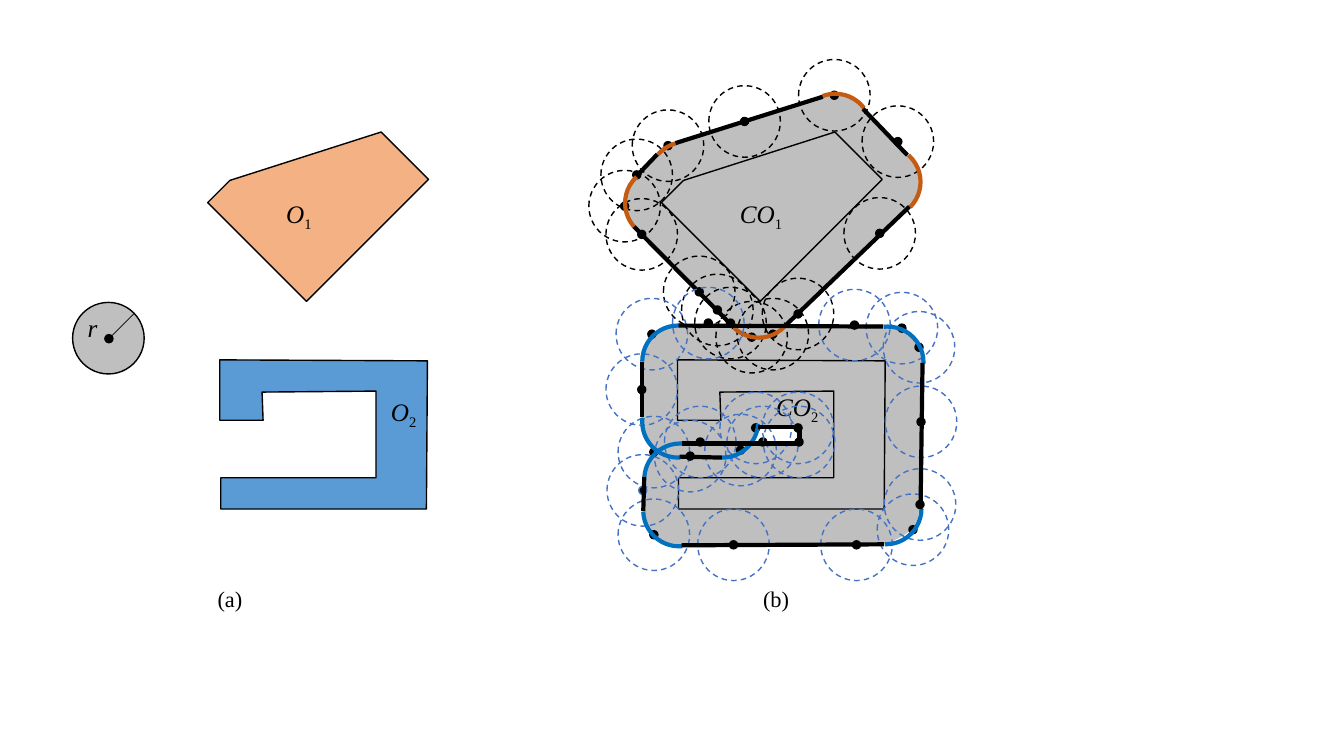
from lxml import etree
from pptx import Presentation
from pptx.dml.color import RGBColor
from pptx.enum.dml import MSO_LINE
from pptx.enum.shapes import MSO_CONNECTOR, MSO_SHAPE
from pptx.enum.text import MSO_AUTO_SIZE
from pptx.oxml.ns import qn
from pptx.util import Inches, Pt

BLACK = RGBColor(0x00, 0x00, 0x00)
WHITE = RGBColor(0xFF, 0xFF, 0xFF)
GRAY = RGBColor(0xBF, 0xBF, 0xBF)
PEACH = RGBColor(0xF4, 0xB1, 0x83)
SKY = RGBColor(0x5B, 0x9B, 0xD5)
RUST = RGBColor(0xC5, 0x5A, 0x11)
BLUE = RGBColor(0x44, 0x72, 0xC4)
DEEP = RGBColor(0x00, 0x70, 0xC0)
OVAL, ARC, LINE = MSO_SHAPE.OVAL, MSO_SHAPE.ARC, MSO_CONNECTOR.STRAIGHT
DASH, FIT = MSO_LINE.DASH, MSO_AUTO_SIZE.SHAPE_TO_FIT_TEXT
RING, DOT = 0.71, 0.08
GAP = (RING - DOT) / 2
STEPS = 6

prs = Presentation()
prs.slide_width, prs.slide_height = Inches(13.33), Inches(7.5)
shapes = prs.slides.add_slide(prs.slide_layouts[6]).shapes


def paint(shape, fill=None, edge=None, width=1, dash=None):
    shape.shadow.inherit = False
    if fill is None:
        shape.fill.background()
    else:
        shape.fill.solid()
        shape.fill.fore_color.rgb = fill
    if edge is None:
        shape.line.fill.background()
    else:
        shape.line.color.rgb = edge
        shape.line.width = Pt(width)
        if dash:
            shape.line.dash_style = dash


def trace(path, close=True):
    """Build an outline; pairs are corners, sextets are cubic curves."""
    points = [path[0]]
    for part in path[1:]:
        if len(part) == 2:
            points.append(part)
            continue
        x0, y0 = points[-1]
        x1, y1, x2, y2, x3, y3 = part
        for step in range(1, STEPS + 1):
            t = step / STEPS
            a, b, c, d = (1 - t) ** 3, 3 * t * (1 - t) ** 2, 3 * t * t * (1 - t), t ** 3
            points.append((a * x0 + b * x1 + c * x2 + d * x3,
                           a * y0 + b * y1 + c * y2 + d * y3))
    spots = [(Inches(x), Inches(y)) for x, y in points]
    pen = shapes.build_freeform(*spots[0])
    pen.add_line_segments(spots[1:], close=close)
    return pen.convert_to_shape()


# Grown obstacles
low = [
    (6.38, 4.72), (6.37, 4.8, 6.36, 4.96, 6.38, 5.06), (6.4, 5.16, 6.44, 5.26, 6.5, 5.32),
    (6.56, 5.37, 6.42, 5.38, 6.76, 5.4), (8.52, 5.4), (8.86, 5.4, 8.69, 5.42, 8.78, 5.4),
    (8.86, 5.37, 8.99, 5.31, 9.05, 5.24), (9.11, 5.18, 9.11, 5.11, 9.12, 5.02),
    (9.14, 4.93, 9.13, 4.91, 9.13, 4.71), (9.14, 4.52, 9.14, 4.03, 9.14, 3.84),
    (9.15, 3.65, 9.17, 3.66, 9.15, 3.57), (9.14, 3.49, 9.09, 3.38, 9.03, 3.33),
    (8.97, 3.27, 8.87, 3.24, 8.78, 3.22), (8.68, 3.21, 8.44, 3.23, 8.44, 3.23),
    (6.99, 3.23), (6.71, 3.23, 6.82, 3.2, 6.74, 3.21), (6.65, 3.23, 6.53, 3.26, 6.47, 3.33),
    (6.41, 3.39, 6.39, 3.46, 6.37, 3.59), (6.35, 3.72, 6.35, 3.99, 6.36, 4.12),
    (6.37, 4.26, 6.41, 4.35, 6.44, 4.41), (6.47, 4.47, 6.53, 4.45, 6.53, 4.48),
    (6.53, 4.51, 6.47, 4.54, 6.45, 4.58), (6.43, 4.62, 6.39, 4.64, 6.38, 4.72)]
high = [
    (8.14, 0.96), (7.87, 1.03, 6.98, 1.31, 6.72, 1.41), (6.45, 1.5, 6.61, 1.46, 6.54, 1.52),
    (6.47, 1.58, 6.36, 1.67, 6.31, 1.76), (6.25, 1.84, 6.19, 1.95, 6.2, 2.05),
    (6.22, 2.15, 6.2, 2.14, 6.38, 2.34), (6.56, 2.54, 7.08, 3.08, 7.28, 3.24),
    (7.47, 3.41, 7.47, 3.34, 7.55, 3.34), (7.64, 3.33, 7.54, 3.44, 7.79, 3.22),
    (8.03, 3.01, 8.87, 2.21, 9.01, 2.06), (9.15, 1.91, 9.11, 1.85, 9.11, 1.77),
    (9.11, 1.68, 9.09, 1.65, 9, 1.53), (8.91, 1.41, 8.67, 1.17, 8.56, 1.07),
    (8.46, 0.98, 8.43, 0.98, 8.37, 0.96), (8.3, 0.94, 8.42, 0.88, 8.14, 0.96)]
hole = [(7.45, 4.39), (7.51, 4.24), (7.93, 4.23), (7.93, 4.4)]
for path, fill in ((low, GRAY), (hole, WHITE), (high, GRAY)):
    paint(trace(path), fill)

# Obstacles, at left filled and at right in outline
kite = [(2.28, 1.79), (3.78, 1.31), (4.25, 1.78), (3.04, 2.99), (2.06, 2.01)]
hook = [(2.18, 3.57), (2.18, 4.17), (2.61, 4.17), (2.6, 3.89), (3.73, 3.88), (3.73, 4.74),
        (2.19, 4.74), (2.19, 5.05), (4.23, 5.05), (4.24, 3.58)]
for path, fill, shift in ((kite, PEACH, 4.5), (hook, SKY, 4.54)):
    paint(trace(path), fill, BLACK)
    paint(trace([(x + shift, y) for x, y in path]), None, BLACK)

# Robot
for x, y, size, fill in ((0.72, 3, RING, GRAY), (1.04, 3.32, DOT, BLACK)):
    paint(shapes.add_shape(OVAL, Inches(x), Inches(y), Inches(size), Inches(size)), fill, BLACK)

# Labels
labels = [
    (0.77, 3.05, 0.3, 0.4, "r", "", 18), (7.24, 1.92, 0.64, 0.4, "CO", "1", 18),
    (2.74, 1.92, 0.47, 0.4, "O", "1", 18), (3.78, 3.88, 0.47, 0.4, "O", "2", 18),
    (7.6, 3.83, 0.64, 0.4, "CO", "2", 18), (2.06, 5.76, 0.5, 0.37, "(a)", "", 16),
    (7.47, 5.76, 0.5, 0.37, "(b)", "", 16)]
for x, y, w, h, name, sub, size in labels:
    frame = shapes.add_textbox(Inches(x), Inches(y), Inches(w), Inches(h)).text_frame
    frame.word_wrap = size == 16
    frame.auto_size = FIT
    for text in filter(None, (name, sub)):
        run = frame.paragraphs[0].add_run()
        run.text = text
        look = {"name": "Times New Roman", "size": Pt(size),
                "italic": size == 18 and text == name}
        for key, value in look.items():
            setattr(run.font, key, value)
        run.font.color.rgb = BLACK
        if text == sub:
            run.font._element.set("baseline", "-25000")

# Robot placements, rounded corners and straight edges of each grown obstacle
rings1 = [(6.76, 2.72), (6.89, 2.85), (7.1, 2.99), (7.31, 2.96), (7.56, 2.76), (8.37, 1.96),
          (8.55, 1.05), (7.92, 0.59), (6.58, 2.54), (7.03, 0.85), (6.27, 1.09), (5.96, 1.38),
          (5.84, 1.69), (6.01, 1.97)]
arcs1 = [(6.44, 1.41, 132.7, 153.23), (7.93, 0.93, 149.48, 193.86), (8.42, 1.45, 186.93, 27),
         (7.17, 2.64, 24.83, 79.94), (6.2, 1.66, 82.12, 136.78)]
edges1 = [(6.7, 1.42, 8.16, 0.96), (8.56, 1.08, 9, 1.54), (6.31, 1.75, 6.52, 1.53),
          (6.29, 2.25, 7.28, 3.25), (7.79, 3.23, 9.02, 2.05)]
rings2 = [(8.59, 2.9), (8.76, 3.09), (8.78, 3.83), (8.77, 4.65), (8.7, 4.9), (8.14, 5.05),
          (6.92, 5.05), (6.13, 4.95), (6.02, 4.51), (6.13, 4.13), (6.59, 4.03), (7.21, 4.03),
          (7.56, 3.89), (7.57, 4.03), (7.14, 3.89), (6.99, 4.11), (6.49, 4.17), (8.12, 2.87),
          (6.01, 3.51), (6.11, 2.96), (6.67, 2.85)]
arcs2 = [(8.45, 3.24, 158.5, 1.22), (8.43, 4.69, 0.12, 54.45), (6.38, 4.71, 50.88, 106.89),
         (6.39, 4.4, 110.46, 164.42), (6.37, 3.83, 51.78, 111.73), (6.37, 3.23, 107.8, 162.96),
         (6.81, 3.83, 2.16, 54.52)]
edges2 = [(6.73, 3.23, 8.76, 3.24), (9.15, 3.6, 9.13, 5.05), (6.76, 5.41, 8.77, 5.4),
          (6.38, 5.07, 6.39, 4.73), (7.16, 4.54, 6.74, 4.53), (6.37, 4.14, 6.37, 3.59)]
radius = [(1.11, 3.33, 1.33, 3.11)]
blue_dot = (6.02, 4.51)
stages = [([], BLACK, [], BLACK, radius, 0.5), (rings1, BLACK, arcs1, RUST, edges1, 3),
          (rings2, BLUE, arcs2, DEEP, edges2, 3)]
for rings, tint, arcs, hue, edges, width in stages:
    for x, y in rings:
        ring = shapes.add_shape(OVAL, Inches(x), Inches(y), Inches(RING), Inches(RING))
        paint(ring, None, tint, dash=DASH)
        dot = shapes.add_shape(OVAL, Inches(x + GAP), Inches(y + GAP), Inches(DOT), Inches(DOT))
        paint(dot, BLACK, BLUE if (x, y) == blue_dot else BLACK)
    for x, y, start, end in arcs:
        arc = shapes.add_shape(ARC, Inches(x), Inches(y), Inches(RING), Inches(RING))
        arc.adjustments[0], arc.adjustments[1] = start, end
        paint(arc, None, hue, 3)
    for edge in edges:
        line = shapes.add_connector(LINE, *map(Inches, edge))
        line.line.color.rgb = BLACK
        line.line.width = Pt(width)
        etree.SubElement(line._element.spPr, qn("a:effectLst"))

slot = trace([(6.76, 4.4), (7.93, 4.4), (7.93, 4.24), (7.52, 4.24)], close=False)
paint(slot, None, BLACK, 3)

prs.save("out.pptx")
